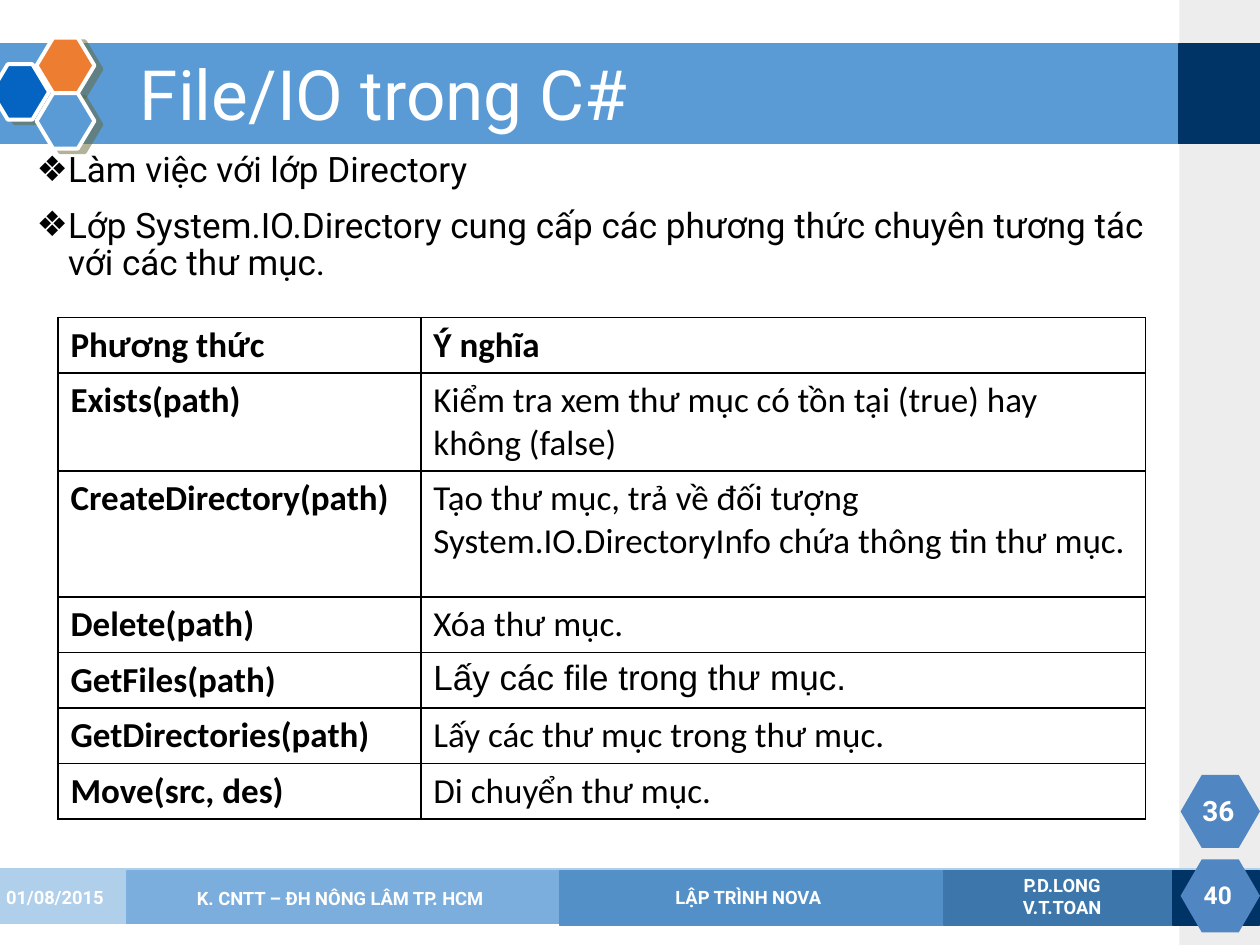
from lxml import etree
from pptx import Presentation
from pptx.dml.color import RGBColor
from pptx.enum.shapes import MSO_SHAPE
from pptx.enum.text import MSO_ANCHOR, MSO_AUTO_SIZE, PP_ALIGN
from pptx.oxml.ns import qn
from pptx.util import Inches, Pt

RECTANGLE, HEXAGON = MSO_SHAPE.RECTANGLE, MSO_SHAPE.HEXAGON
LEFT, CENTER = PP_ALIGN.LEFT, PP_ALIGN.CENTER
MIDDLE = MSO_ANCHOR.MIDDLE
NO_AUTOFIT = MSO_AUTO_SIZE.NONE

WHITE = RGBColor(0xFF, 0xFF, 0xFF)
BLACK = RGBColor(0, 0, 0)
NAVY = RGBColor(0x00, 0x33, 0x66)
BLUE = RGBColor(0x5B, 0x9B, 0xD5)
DEEP_BLUE = RGBColor(0x05, 0x63, 0xC1)
ORANGE = RGBColor(0xED, 0x7D, 0x31)
BADGE_BLUE = RGBColor(0x50, 0x86, 0xC2)
GRAY = RGBColor(0xA7, 0xA7, 0xA7)

TITLE = "File/IO trong C#"
BULLETS = [
    "Làm việc với lớp Directory",
    "Lớp\u00a0System.IO.Directory\u00a0cung cấp các phương thức chuyên tương tác với các thư mục.",
]
HEADER = ("Phương thức", "Ý nghĩa")
METHODS = [
    ("Exists(path)", "Kiểm tra xem thư mục có tồn tại (true) hay không (false)"),
    ("CreateDirectory(path)",
     "Tạo thư mục, trả về đối tượng System.IO.DirectoryInfo chứa thông tin thư mục."),
    ("Delete(path)", "Xóa thư mục."),
    ("GetFiles(path)", "Lấy các file trong thư mục."),
    ("GetDirectories(path)", "Lấy các thư mục trong thư mục."),
    ("Move(src, des)", "Di chuyển thư mục."),
]
ARIAL_ROW = 4
COLUMN_WIDTHS = (2.88, 5.75)
ROW_HEIGHTS = (0.44, 0.78, 1, 0.44, 0.44, 0.44, 0.44)

# Box (left, top, width, height), fill, opacity in percent, line
BANDS = [
    ((9.36, 0, 0.64, 7.5), GRAY, 20, None),
    ((-0.02, 6.9, 10.02, 0.43), RGBColor(0x7C, 0xAF, 0xDE), 60, RGBColor(0xB0, 0xCF, 0xEB)),
    ((1.01, 6.91, 8.97, 0.42), RGBColor(0x47, 0x8F, 0xD1), 50, RGBColor(0x7C, 0xAF, 0xDE)),
    ((4.44, 6.91, 5.56, 0.43), RGBColor(0x2E, 0x74, 0xB4), 50, RGBColor(0x55, 0x91, 0xC9)),
    ((7.49, 6.91, 2.5, 0.43), RGBColor(0x25, 0x5D, 0x8F), 50, RGBColor(0x3D, 0x77, 0xAC)),
    ((-0.02, 0.35, 9.38, 0.79), BLUE, 100, BLUE),
    ((9.36, 0.35, 0.64, 0.79), NAVY, 100, NAVY),
    ((9.31, 6.91, 0.68, 0.43), NAVY, 100, NAVY),
]
TITLE_HEXAGONS = [(-0.07, 0.51, DEEP_BLUE), (0.29, 0.3, ORANGE), (0.29, 0.74, BLUE)]
BADGE_TOPS = (6.82, 6.15)
# Lines, box, size, alignment
LABELS = [
    (["40"], (9.44, 6.9, 0.45, 0.4), 14, CENTER),
    (["P.D.LONG", "V.T.TOAN"], (7.55, 6.91, 1.76, 0.4), 10.5, CENTER),
    (["LẬP TRÌNH NOVA"], (4.46, 6.98, 2.96, 0.28), 10.5, CENTER),
    (["01/08/2015"], (-0.05, 6.92, 1.1, 0.4), 10.5, LEFT),
    (["K. CNTT – ĐH NÔNG LÂM TP. HCM"], (1.01, 6.93, 3.38, 0.4), 10.5, CENTER),
    (["36"], (9.37, 6.23, 0.6, 0.4), 16, CENTER),
]


def inches(box):
    return [Inches(value) for value in box]


def set_font(paragraph, name, size, color, bold=False):
    font = paragraph.font
    font.name, font.size, font.bold = name, Pt(size), bold
    font.color.rgb = color


def add_shape(slide, kind, box, fill, line=None, line_width=1):
    shape = slide.shapes.add_shape(kind, *inches(box))
    shape.shadow.inherit = False
    shape.fill.solid()
    shape.fill.fore_color.rgb = fill
    if line is None:
        shape.line.fill.background()
    else:
        shape.line.color.rgb = line
        shape.line.width = Pt(line_width)
    return shape


def add_alpha(color_element, percent):
    etree.SubElement(color_element, qn("a:alpha")).set("val", str(percent * 1000))


def add_hard_shadow(shape):
    effects = shape.element.spPr.find(qn("a:effectLst"))
    shadow = etree.SubElement(effects, qn("a:outerShdw"), blurRad="0",
                              dist=str(Pt(4.5)), dir=str(27 * 60000), algn="ctr")
    add_alpha(etree.SubElement(shadow, qn("a:srgbClr"), val="666633"), 50)


def add_decoration(slide):
    for box, fill, opacity, line in BANDS:
        band = add_shape(slide, RECTANGLE, box, fill, line)
        if opacity < 100:
            add_alpha(band.element.spPr.find(qn("a:solidFill"))[0], opacity)
    for left, top, fill in TITLE_HEXAGONS:
        hexagon = add_shape(slide, HEXAGON, (left, top, 0.46, 0.44), fill, WHITE, 2.25)
        hexagon.adjustments[0] = 0.3
        add_hard_shadow(hexagon)
    for top in BADGE_TOPS:
        badge = add_shape(slide, HEXAGON, (9.37, top, 0.63, 0.58), BADGE_BLUE)
        badge.adjustments[0] = 0.29


def add_label(slide, lines, box, size, alignment):
    frame = slide.shapes.add_textbox(*inches(box)).text_frame
    frame.word_wrap = True
    frame.vertical_anchor = MIDDLE
    frame.text = "\n".join(lines)
    for paragraph in frame.paragraphs:
        paragraph.alignment = alignment
        set_font(paragraph, "Roboto", size, WHITE, bold=True)


def fill_placeholder(shape, box, text, size, color):
    """Place the placeholder in front of the bands and write its text."""
    shape.element.getparent().append(shape.element)
    shape.left, shape.top, shape.width, shape.height = inches(box)
    frame = shape.text_frame
    frame.text = text
    frame.word_wrap = True
    frame.auto_size = NO_AUTOFIT
    for paragraph in frame.paragraphs:
        paragraph.alignment = LEFT
        paragraph.line_spacing = 0.9
        set_font(paragraph, "Roboto", size, color)
    return frame


def set_bullet(paragraph):
    paragraph.space_before = Pt(10)
    properties = paragraph._p.get_or_add_pPr()
    properties.set("marL", str(Inches(0.25)))
    properties.set("indent", str(Inches(-0.25)))
    etree.SubElement(properties, qn("a:buChar"), char="❖")
    # Bullet comes before the default run properties
    defaults = properties.find(qn("a:defRPr"))
    if defaults is not None:
        properties.append(defaults)


def set_borders(cell):
    properties = cell._tc.get_or_add_tcPr()
    for position, side in enumerate(("a:lnL", "a:lnR", "a:lnT", "a:lnB")):
        line = etree.Element(qn(side), w=str(Pt(1)))
        fill = etree.SubElement(line, qn("a:solidFill"))
        etree.SubElement(fill, qn("a:srgbClr"), val=str(BLACK))
        properties.insert(position, line)


def add_methods_table(slide):
    rows = [HEADER, *METHODS]
    box = (0.46, 2.52, sum(COLUMN_WIDTHS), sum(ROW_HEIGHTS))
    table = slide.shapes.add_table(len(rows), len(HEADER), *inches(box)).table
    table.first_row = table.horz_banding = False
    for column, width in zip(table.columns, COLUMN_WIDTHS):
        column.width = Inches(width)
    for row_index, texts in enumerate(rows):
        table.rows[row_index].height = Inches(ROW_HEIGHTS[row_index])
        for column_index, text in enumerate(texts):
            cell = table.cell(row_index, column_index)
            cell.text = text
            cell.fill.background()
            set_borders(cell)
            font_name = "Arial" if (row_index, column_index) == (ARIAL_ROW, 1) else "Calibri"
            bold = row_index == 0 or column_index == 0
            set_font(cell.text_frame.paragraphs[0], font_name, 20, BLACK, bold)


def main():
    presentation = Presentation()
    presentation.slide_width, presentation.slide_height = Inches(10), Inches(7.5)
    slide = presentation.slides.add_slide(presentation.slide_layouts[1])
    add_decoration(slide)
    title = fill_placeholder(slide.shapes.title, (1.01, 0.4, 8.3, 0.75), TITLE, 39.6, WHITE)
    title.vertical_anchor = MIDDLE
    body = fill_placeholder(slide.placeholders[1], (0.19, 1.16, 9.14, 5.97),
                            "\n".join(BULLETS), 20, BLACK)
    for paragraph in body.paragraphs:
        set_bullet(paragraph)
    for label in LABELS:
        add_label(slide, *label)
    add_methods_table(slide)
    presentation.save("out.pptx")


if __name__ == "__main__":
    main()
